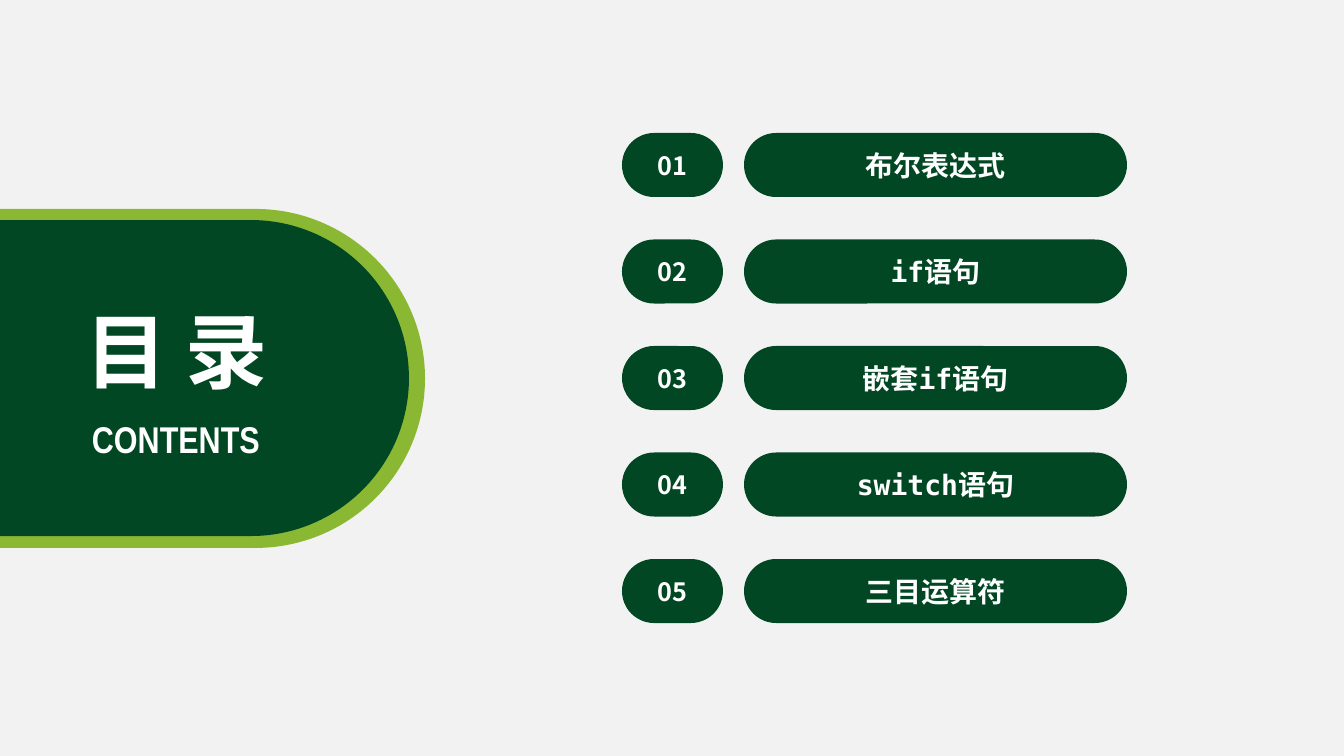
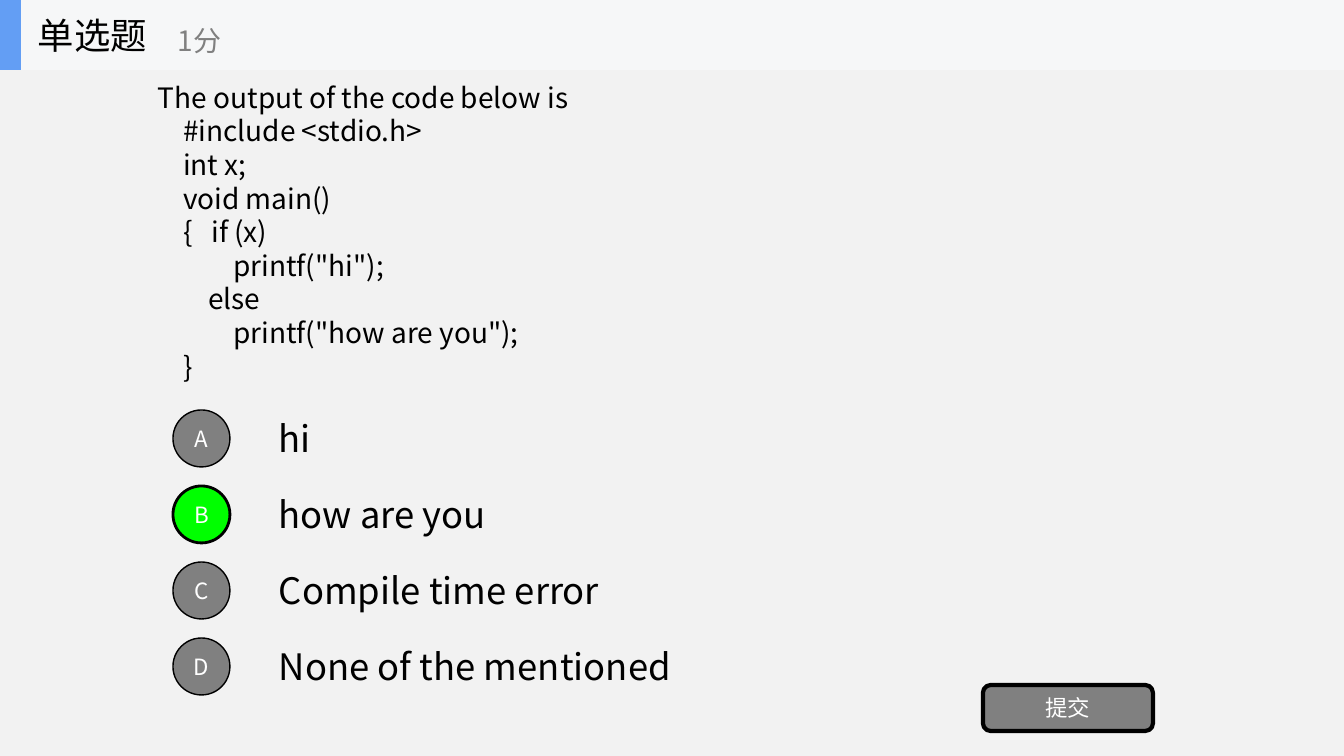
from pptx import Presentation
from pptx.dml.color import RGBColor
from pptx.enum.shapes import MSO_SHAPE
from pptx.enum.text import MSO_ANCHOR, PP_ALIGN
from pptx.oxml.ns import qn
from pptx.util import Pt
from lxml.etree import SubElement

WIDTH, HEIGHT = 1344, 756
SCALE = 12192000 / WIDTH

SANS, MONO, NARROW = "Noto Sans CJK SC", "DejaVu Sans Mono", "Arial Narrow"
PAPER, GREEN, LIME = "F2F2F2", "014723", "8AB833"
WHITE, BLACK, GRAY = "FFFFFF", "000000", "808080"
BAND, BLUE, RIGHT = "F6F7F8", "639EF4", "00FF00"

TOPICS = [
    [("布尔表达式", SANS)],
    [("if", MONO), ("语句", SANS)],
    [("嵌套", SANS), ("if", MONO), ("语句", SANS)],
    [("switch", MONO), ("语句", SANS)],
    [("三目运算符", SANS)],
]
FIRST_ROW, LAST_ROW, ROW_HIGH = 133, 559, 64

QUESTION = [
    "The output of the code below is",
    "    #include <stdio.h>",
    "    int x;",
    "    void main()",
    "    {   if (x)",
    '            printf("hi");',
    "        else",
    '            printf("how are you");',
    "    }",
]
CHOICES = ["hi", "how are you", "Compile time error", "None of the mentioned"]
ANSWER = 1
CHOICE_TOP, CHOICE_STEP, DISC = 410, 76, 57


def px(n):
    return round(n * SCALE)


def color(code):
    return RGBColor.from_string(code)


def write(shape, lines, size, ink, bold=False, align=PP_ALIGN.LEFT,
          wrap=True, pitch=None):
    """Fill a shape with lines, each a list of (text, font) runs."""
    frame = shape.text_frame
    frame.word_wrap = wrap
    frame.vertical_anchor = MSO_ANCHOR.MIDDLE
    for i, line in enumerate(lines):
        para = frame.add_paragraph() if i else frame.paragraphs[0]
        para.alignment = align
        if pitch:
            para.line_spacing = Pt(pitch)
        for text, face in line:
            run = para.add_run()
            run.text = text
            font = run.font
            font.size, font.bold = Pt(size), bold
            font.color.rgb = color(ink)
            font.name = face
            SubElement(font._element, qn("a:ea"), typeface=SANS)


def draw(slide, kind, box, fill, line=0, round_by=None):
    shape = slide.shapes.add_shape(kind, *map(px, box))
    shape.shadow.inherit = False
    shape.fill.solid()
    shape.fill.fore_color.rgb = color(fill)
    if line:
        shape.line.color.rgb = color(BLACK)
        shape.line.width = Pt(line)
    else:
        shape.line.fill.background()
    if round_by is not None:
        shape.adjustments[0] = round_by
    return shape


def pill(slide, box, fill):
    return draw(slide, MSO_SHAPE.ROUNDED_RECTANGLE, box, fill, round_by=0.5)


def label(slide, box, lines, size, ink=BLACK, **style):
    write(slide.shapes.add_textbox(*map(px, box)), lines, size, ink, **style)


def contents(slide):
    pill(slide, (-198, 209, 623, 339), LIME)
    pill(slide, (-171, 220, 580, 316), GREEN)
    style = dict(ink=WHITE, bold=True, align=PP_ALIGN.CENTER)
    step = (LAST_ROW - FIRST_ROW) / (len(TOPICS) - 1)
    for i, topic in enumerate(TOPICS):
        top = FIRST_ROW + i * step
        number = pill(slide, (622, top, 101, ROW_HIGH), GREEN)
        write(number, [[(f"{i + 1:02}", SANS)]], 18, **style)
        name = pill(slide, (744, top, 383, ROW_HIGH), GREEN)
        write(name, [topic], 20, **style)
    label(slide, (62, 411, 228, 56), [[("CONTENTS", NARROW)]], 26.6,
          wrap=False, **style)
    label(slide, (71, 295, 211, 110), [[("目 录", SANS)]], 58.6,
          wrap=False, **style)


def quiz(slide):
    label(slide, (148, 74, 962, 315), [[(text, SANS)] for text in QUESTION],
          20, pitch=24)
    center = dict(ink=WHITE, align=PP_ALIGN.CENTER)
    for i, choice in enumerate(CHOICES):
        top = CHOICE_TOP + i * CHOICE_STEP
        label(slide, (269, top, 500, 55), [[(choice, SANS)]], 26)
        hit = i == ANSWER
        disc = draw(slide, MSO_SHAPE.OVAL, (173, top, DISC, DISC),
                    RIGHT if hit else GRAY, 2 if hit else 1)
        write(disc, [[("ABCD"[i], SANS)]], 16, **center)
    button = draw(slide, MSO_SHAPE.ROUNDED_RECTANGLE, (983, 685, 170, 46),
                  GRAY, 3)
    write(button, [[("提交", SANS)]], 16, **center)
    for wide, fill in ((WIDTH, BAND), (21, BLUE)):
        draw(slide, MSO_SHAPE.RECTANGLE, (0, 0, wide, 70), fill)
    label(slide, (28, 0, 210, 70), [[("单选题", SANS)]], 26, wrap=False)
    label(slide, (168, 12, 252, 56), [[("1分", SANS)]], 20, GRAY, wrap=False)


def main():
    deck = Presentation()
    deck.slide_width, deck.slide_height = px(WIDTH), px(HEIGHT)
    paper = deck.slide_master.background.fill
    paper.solid()
    paper.fore_color.rgb = color(PAPER)
    for build in (contents, quiz):
        build(deck.slides.add_slide(deck.slide_layouts[6]))
    deck.save("out.pptx")


if __name__ == "__main__":
    main()
